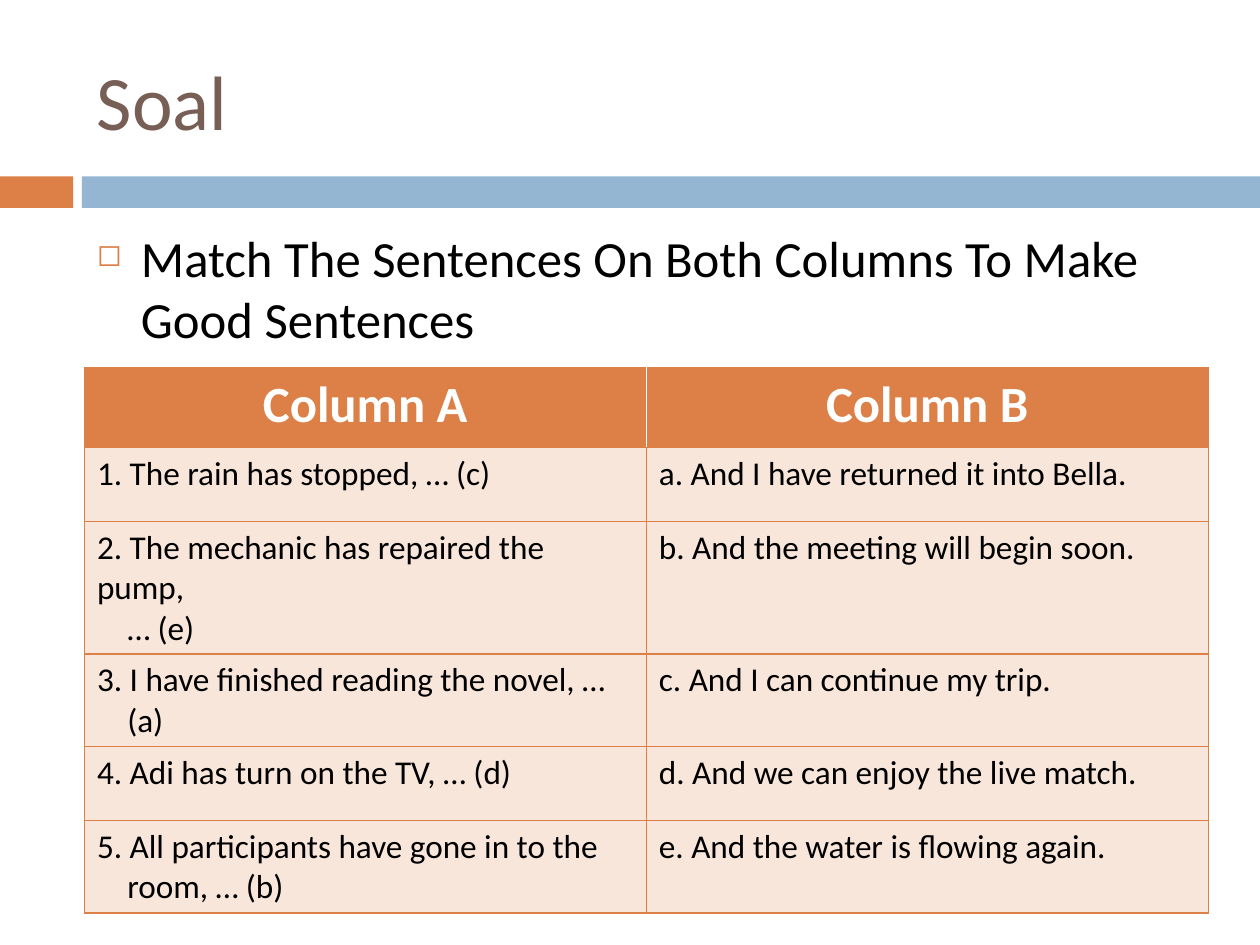
from lxml.etree import SubElement as Sub
from pptx import Presentation
from pptx.dml.color import RGBColor as RGB
from pptx.enum.shapes import MSO_SHAPE as Shape
from pptx.enum.text import MSO_ANCHOR as Anchor, PP_ALIGN as Align
from pptx.oxml.ns import qn
from pptx.util import Inches, Pt

W, H = 10, 7.5
LEFT, WIDTH = 0.067 * W, 0.892 * W
COLORS = {"accent": "DD8047", "band": "94B6D2", "title": "775F55",
          "text": "000000", "white": "FFFFFF", "tint": "F8E6DA"}
HEADERS = ["Column A", "Column B"]
HANG = 0.24
PAIRS = [
    (["1. The rain has stopped, … (c)"], "a. And I have returned it into Bella."),
    (["2. The mechanic has repaired the pump,", "… (e)"], "b. And the meeting will begin soon."),
    (["3. I have finished reading the novel, …", "(a)"], "c. And I can continue my trip."),
    (["4. Adi has turn on the TV, … (d)"], "d. And we can enjoy the live match."),
    (["5. All participants have gone in to the", "room, … (b)"], "e. And the water is flowing again."),
]
ROW_HEIGHTS = [0.63, 0.59, 0.75, 0.59, 0.59, 0.59]


def rgb(name):
    """Return the named colour."""
    return RGB.from_string(COLORS[name])


def write(p, text, size=19, color="text", bold=False, align=None, indent=0):
    """Write formatted text into a paragraph."""
    r = p.add_run()
    r.text = text
    r.font.name, r.font.size, r.font.bold = "Calibri", Pt(size), bold
    r.font.color.rgb = rgb(color)
    p.alignment = align
    if indent:
        p._p.get_or_add_pPr().set("marL", str(Inches(indent)))


def add_bar(s, x, w, color):
    """Add one piece of the bar below the title."""
    sp = s.shapes.add_shape(Shape.RECTANGLE, Inches(x), Inches(1.4), Inches(w), Inches(0.25))
    sp.shadow.inherit = False
    sp.fill.solid()
    sp.fill.fore_color.rgb = rgb(color)
    sp.line.fill.background()


def add_text(s, y, h, text, anchor=Anchor.TOP, **fmt):
    """Add a wrapped text box and return its paragraph."""
    tf = s.shapes.add_textbox(Inches(LEFT), Inches(y), Inches(WIDTH), Inches(h)).text_frame
    tf.word_wrap = True
    tf.vertical_anchor = anchor
    p = tf.paragraphs[0]
    write(p, text, **fmt)
    return p


def add_bullet(p, char, indent):
    """Give a paragraph a hanging coloured bullet."""
    p.space_before = Pt(7)
    pPr = p._p.get_or_add_pPr()
    pPr.set("marL", str(Inches(indent)))
    pPr.set("indent", str(-Inches(indent)))
    Sub(Sub(pPr, qn("a:buClr")), qn("a:srgbClr"), val=COLORS["accent"])
    Sub(pPr, qn("a:buSzPct"), val="60000")
    Sub(pPr, qn("a:buChar"), char=char)


def style_cell(cell, fill, **borders):
    """Set the borders and the fill of a cell."""
    tcPr = cell._tc.get_or_add_tcPr()
    for side in ("L", "R", "T", "B"):
        color, width = borders.get(side, ("accent", 0.79))
        ln = Sub(tcPr, qn(f"a:ln{side}"), w=str(Pt(width)))
        Sub(Sub(ln, qn("a:solidFill")), qn("a:srgbClr"), val=COLORS[color])
    cell.fill.solid()
    cell.fill.fore_color.rgb = rgb(fill)


def fill_cell(cell, lines, **fmt):
    """Write one paragraph per line, indenting the continuation lines."""
    tf = cell.text_frame
    for i, line in enumerate(lines):
        p = tf.add_paragraph() if i else tf.paragraphs[0]
        write(p, line, indent=HANG if i else 0, **fmt)


def add_matching_table(s):
    """Add the two-column matching table."""
    table = s.shapes.add_table(len(ROW_HEIGHTS), 2, Inches(LEFT), Inches(2.92),
                               Inches(WIDTH), Inches(sum(ROW_HEIGHTS))).table
    table.horz_banding = False
    for row, height in zip(table.rows, ROW_HEIGHTS):
        row.height = Inches(height)
    rows = [[[h] for h in HEADERS]] + [[a, [b]] for a, b in PAIRS]
    for i, row in enumerate(rows):
        head = {} if i else dict(size=29, color="white", bold=True, align=Align.CENTER)
        divider = ("accent" if i else "white", 1)
        for j, lines in enumerate(row):
            cell = table.cell(i, j)
            fill_cell(cell, lines, **head)
            style_cell(cell, "tint" if i else "accent", **{"L" if j else "R": divider})


def main():
    """Build the slide and save it."""
    prs = Presentation()
    prs.slide_width, prs.slide_height = Inches(W), Inches(H)
    s = prs.slides.add_slide(prs.slide_layouts[6])
    add_bar(s, 0, 0.058 * W, "accent")
    add_bar(s, 0.065 * W, 0.935 * W, "band")
    add_text(s, 0.25, 1.08, "Soal", anchor=Anchor.MIDDLE, size=44, color="title",
             align=Align.JUSTIFY)
    p = add_text(s, 1.75, 5.06, "Match The Sentences On Both Columns To Make Good Sentences",
                 size=29)
    add_bullet(p, "◻", 0.35)
    add_matching_table(s)
    prs.save("out.pptx")


if __name__ == "__main__":
    main()
